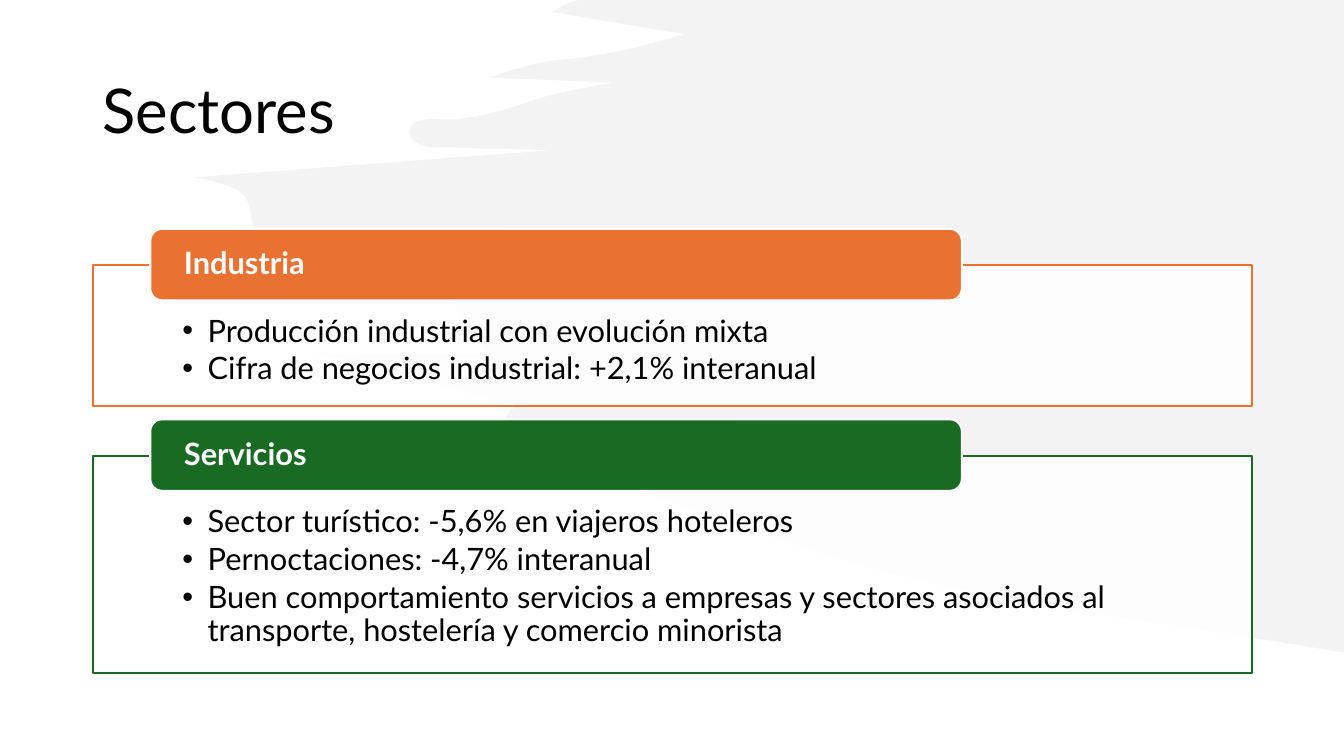
from math import hypot

from lxml.etree import SubElement
from pptx import Presentation
from pptx.dml.color import RGBColor
from pptx.enum.shapes import MSO_SHAPE
from pptx.enum.text import MSO_ANCHOR, PP_ALIGN
from pptx.oxml.ns import qn
from pptx.util import Inches, Pt

FONT = "Lato"
BLACK = RGBColor(0x00, 0x00, 0x00)
WHITE = RGBColor(0xFF, 0xFF, 0xFF)
GRAY = RGBColor(0xE8, 0xE8, 0xE8)
ORANGE = RGBColor(0xE9, 0x71, 0x32)
GREEN = RGBColor(0x19, 0x6B, 0x24)

PANEL_LEFT, PANEL_WIDTH = 0.92, 11.5
TAB_LEFT, TAB_WIDTH, TAB_HEIGHT = 1.49, 8.05, 0.71
TAB_RISE = 0.36  # how far a heading stands above its panel

# Heading, colour, panel top, panel height, bullets
SECTORS = [
    ("Industria", ORANGE, 2.63, 1.4, [
        "Producción industrial con evolución mixta",
        "Cifra de negocios industrial: +2,1% interanual",
    ]),
    ("Servicios", GREEN, 4.52, 2.16, [
        "Sector turístico: -5,6% en viajeros hoteleros",
        "Pernoctaciones: -4,7% interanual",
        "Buen comportamiento servicios a empresas y sectores asociados al "
        "transporte, hostelería y comercio minorista",
    ]),
]

# Brush stroke: top right corner, then the ragged edge down to the right side
BRUSH_POINTS = [
    (13.33, 0), (5.75, 0), (5.48, 0.12), (6.78, 0.34), (6.32, 0.47),
    (5.84, 0.56), (5.32, 0.63), (4.85, 0.77), (6.08, 0.82), (5.44, 0.95),
    (4.92, 1.11), (4.55, 1.18), (4.15, 1.2), (4.06, 1.32), (4.18, 1.44),
    (4.37, 1.46), (5.47, 1.49), (1.93, 1.76), (2.41, 1.93), (2.58, 2.39),
    (3.16, 2.65), (3.55, 2.75), (4.42, 2.88), (4.55, 3.11), (4.66, 3.36),
    (4.89, 3.52), (3.09, 3.5), (5.12, 4.02), (4.94, 4.22), (6.05, 4.5),
    (5.45, 4.54), (8.92, 5.71), (13.18, 6.45), (13.33, 6.47),
]


def tangent(points, index):
    """Unit direction of the edge at a point; zero at ends and sharp tips."""
    if index in (0, len(points) - 1):
        return 0, 0
    (ax, ay), (bx, by), (cx, cy) = points[index - 1:index + 2]
    if (bx - ax) * (cx - bx) + (by - ay) * (cy - by) < 0:
        return 0, 0
    length = hypot(cx - ax, cy - ay)
    return (cx - ax) / length, (cy - ay) / length


def curve_edges(shape):
    """Turn the straight edges of a freeform into curves, keeping sharp tips."""
    ends = list(shape._element.iter(qn("a:pt")))
    points = [(int(end.get("x")), int(end.get("y"))) for end in ends]
    for index in range(1, len(points) - 1):
        start, end = points[index], points[index + 1]
        reach = hypot(end[0] - start[0], end[1] - start[1]) / 3
        leave, arrive = tangent(points, index), tangent(points, index + 1)
        controls = [
            [start[axis] + reach * leave[axis] for axis in (0, 1)],
            [end[axis] - reach * arrive[axis] for axis in (0, 1)],
        ]
        edge = ends[index + 1].getparent()
        curve = edge.makeelement(qn("a:cubicBezTo"))
        for x, y in controls + [end]:
            SubElement(curve, qn("a:pt"), x=str(round(x)), y=str(round(y)))
        edge.getparent().replace(edge, curve)


def style_shape(shape, fill, line=None, opacity=100):
    shape.shadow.inherit = False
    shape.fill.solid()
    shape.fill.fore_color.rgb = fill
    if opacity < 100:
        color = shape.fill._xPr.find(qn("a:solidFill"))[0]
        SubElement(color, qn("a:alpha")).set("val", str(opacity * 1000))
    if line is None:
        shape.line.fill.background()
    else:
        shape.line.color.rgb = line
        shape.line.width = Pt(1.5)


def set_frame(shape, anchor, left=0.1, top=0.05, right=0.1, bottom=0.05):
    frame = shape.text_frame
    frame.word_wrap = True
    frame.vertical_anchor = anchor
    frame.margin_left, frame.margin_right = Inches(left), Inches(right)
    frame.margin_top, frame.margin_bottom = Inches(top), Inches(bottom)
    return frame


def write(paragraph, text, size, color, bold=False):
    paragraph.alignment = PP_ALIGN.LEFT
    paragraph.line_spacing = 0.9
    run = paragraph.add_run()
    run.text = text
    run.font.name = FONT
    run.font.size = Pt(size)
    run.font.bold = bold
    run.font.color.rgb = color


def add_bullet(paragraph):
    properties = paragraph._p.get_or_add_pPr()
    properties.set("marL", str(Inches(0.25)))
    properties.set("indent", str(Inches(-0.25)))
    SubElement(properties, qn("a:buFont")).set("typeface", "Arial")
    SubElement(properties, qn("a:buChar")).set("char", "•")


def add_brush_stroke(slide):
    first, *rest = [(Inches(x), Inches(y)) for x, y in BRUSH_POINTS]
    builder = slide.shapes.build_freeform(*first)
    builder.add_line_segments(rest, close=False)
    stroke = builder.convert_to_shape()
    curve_edges(stroke)
    style_shape(stroke, GRAY, opacity=50)


def add_title(slide, text):
    box = slide.shapes.add_textbox(
        Inches(PANEL_LEFT), Inches(0.4), Inches(PANEL_WIDTH), Inches(1.45))
    frame = set_frame(box, MSO_ANCHOR.MIDDLE)
    write(frame.paragraphs[0], text, 44, BLACK)


def add_sector(slide, heading, color, top, height, bullets):
    # Outlined panel with its bullets
    panel = slide.shapes.add_shape(
        MSO_SHAPE.RECTANGLE, Inches(PANEL_LEFT), Inches(top),
        Inches(PANEL_WIDTH), Inches(height))
    style_shape(panel, WHITE, color, opacity=90)
    frame = set_frame(panel, MSO_ANCHOR.TOP, 0.89, 0.5, 0.89, 0.17)
    for index, text in enumerate(bullets):
        paragraph = frame.add_paragraph() if index else frame.paragraphs[0]
        write(paragraph, text, 22, BLACK)
        paragraph.space_after = Pt(3.3)
        add_bullet(paragraph)

    # Heading tab over the panel's upper edge
    tab = slide.shapes.add_shape(
        MSO_SHAPE.ROUNDED_RECTANGLE, Inches(TAB_LEFT), Inches(top - TAB_RISE),
        Inches(TAB_WIDTH), Inches(TAB_HEIGHT))
    style_shape(tab, color, WHITE)
    frame = set_frame(tab, MSO_ANCHOR.MIDDLE, 0.3, 0, 0.3, 0)
    write(frame.paragraphs[0], heading, 22, WHITE, bold=True)


def main():
    presentation = Presentation()
    presentation.slide_width = Inches(13.33)
    presentation.slide_height = Inches(7.5)
    slide = presentation.slides.add_slide(presentation.slide_layouts[6])
    add_brush_stroke(slide)
    add_title(slide, "Sectores")
    for sector in SECTORS:
        add_sector(slide, *sector)
    presentation.save("out.pptx")


if __name__ == "__main__":
    main()
